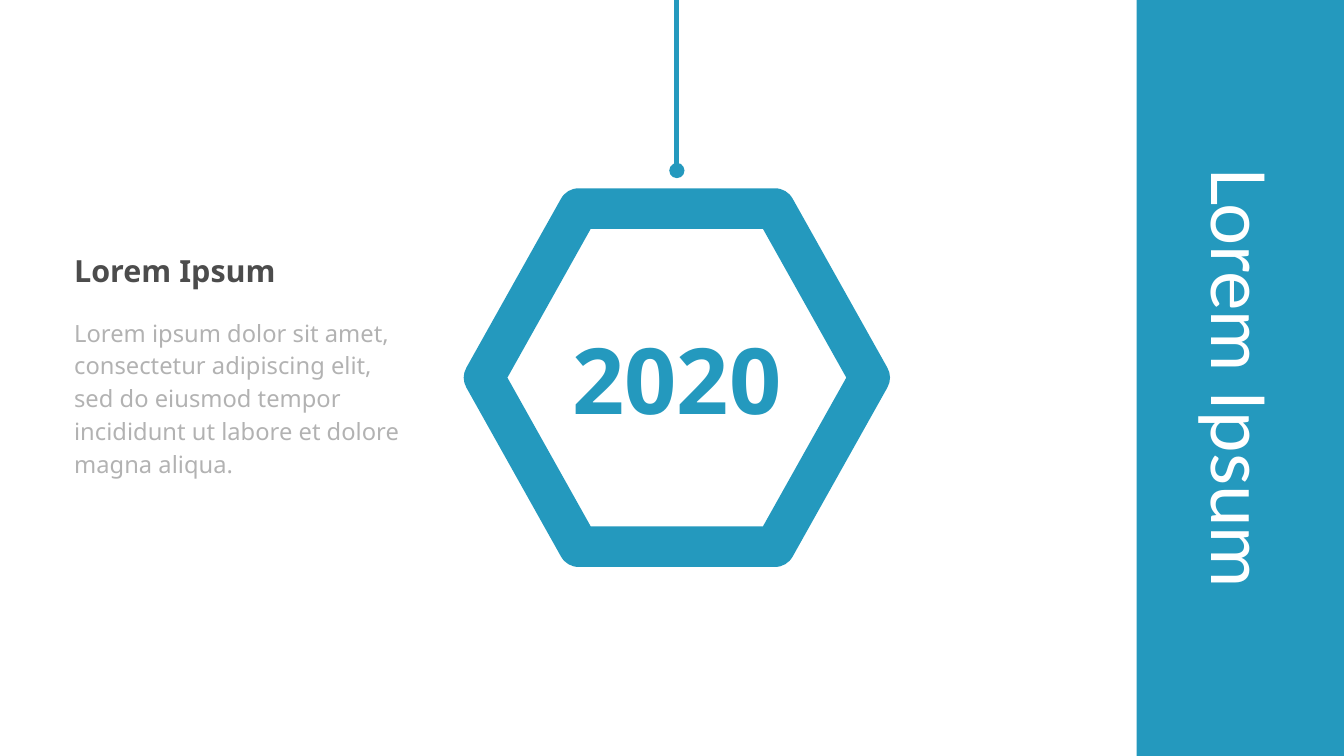
from lxml import etree
from pptx import Presentation
from pptx.dml.color import RGBColor
from pptx.enum.shapes import MSO_CONNECTOR as CONN, MSO_SHAPE as SHAPE
from pptx.enum.text import MSO_ANCHOR as ANCHOR, MSO_AUTO_SIZE as AUTO, PP_ALIGN as ALIGN
from pptx.oxml.ns import qn
from pptx.util import Pt

BLUE = RGBColor(0x24, 0x99, 0xBE)
DARK = RGBColor(0x4C, 0x4C, 0x4C)
BLACK = RGBColor(0, 0, 0)
WHITE = RGBColor(0xFF, 0xFF, 0xFF)
WIDTH, HEIGHT = 793.44, 446.4
BODY = ("Lorem ipsum dolor sit amet, consectetur adipiscing elit, sed do eiusmod "
        "tempor incididunt ut labore et dolore magna aliqua.")


def write(sp, text, size, color, font="Noto Sans", bold=False, align=ALIGN.LEFT,
          anchor=ANCHOR.MIDDLE, spacing=None, alpha=None, wrap=True, insets=(7.2, 3.6)):
    tf = sp.text_frame
    tf.auto_size = AUTO.NONE
    tf.word_wrap = wrap
    tf.vertical_anchor = anchor
    tf.margin_left = tf.margin_right = Pt(insets[0])
    tf.margin_top = tf.margin_bottom = Pt(insets[1])
    p = tf.paragraphs[0]
    p.alignment = align
    if spacing:
        p.line_spacing = spacing
    r = p.add_run()
    r.text = text
    r.font.name, r.font.size, r.font.bold = font, Pt(size), bold
    r.font.color.rgb = color
    if alpha:
        clr = r.font.fill._xPr.find(".//" + qn("a:srgbClr"))
        etree.SubElement(clr, qn("a:alpha"), val=str(alpha * 1000))


def add_title_band(s, x, y, w, h):
    band = s.shapes.add_shape(SHAPE.RECTANGLE, Pt(x), Pt(y), Pt(w), Pt(h))
    band.shadow.inherit = False
    band.fill.solid()
    band.fill.fore_color.rgb = BLUE
    band.line.fill.background()
    title = s.shapes.title
    band.element.addnext(title.element)
    depth = 74
    title.left, title.top = Pt(x + (w - h) / 2 + 0.7), Pt(y + (h - depth) / 2)
    title.width, title.height = Pt(h), Pt(depth)
    title.rotation = 90
    write(title, "Lorem Ipsum", 44, WHITE, font="Lato", align=ALIGN.CENTER, insets=(0, 0))


def add_year_hexagon(s, x, y, w, h):
    sp = s.shapes.add_shape(SHAPE.HEXAGON, Pt(x), Pt(y), Pt(w), Pt(h))
    sp.shadow.inherit = False
    sp.adjustments[0] = 0.28
    sp.fill.background()
    sp.line.color.rgb = BLUE
    sp.line.width = Pt(24)
    etree.SubElement(sp.line._ln, qn("a:round"))
    write(sp, "2020", 54, BLUE, bold=True, align=ALIGN.CENTER, wrap=False, insets=(19.4, 15.8))
    mid = Pt(x + w / 2)
    cord = s.shapes.add_connector(CONN.STRAIGHT, mid, Pt(y - 22.5), mid, Pt(0))
    cord.line.color.rgb = BLUE
    cord.line.width = Pt(3)
    etree.SubElement(cord.line._ln, qn("a:headEnd"), type="oval")
    etree.SubElement(cord.element.spPr, qn("a:effectLst"))


def add_description(s, x, y, w, h):
    head_h, gap = 36, 4.3
    head = s.shapes.add_textbox(Pt(x), Pt(y), Pt(w), Pt(head_h))
    write(head, "Lorem Ipsum", 18, DARK, bold=True)
    top = head_h + gap
    body = s.shapes.add_textbox(Pt(x), Pt(y + top), Pt(w), Pt(h - top))
    write(body, BODY, 14, BLACK, alpha=30, anchor=ANCHOR.TOP, spacing=1.15)


def main():
    prs = Presentation()
    prs.slide_width, prs.slide_height = Pt(WIDTH), Pt(HEIGHT)
    s = prs.slides.add_slide(prs.slide_layouts[5])
    band_w = 122.4
    add_title_band(s, WIDTH - band_w, 0, band_w, HEIGHT)
    add_year_hexagon(s, 285.8, 123.2, 227.6, 199.6)
    add_description(s, 36.7, 141.8, 216, 162.7)
    prs.save("out.pptx")


if __name__ == "__main__":
    main()
